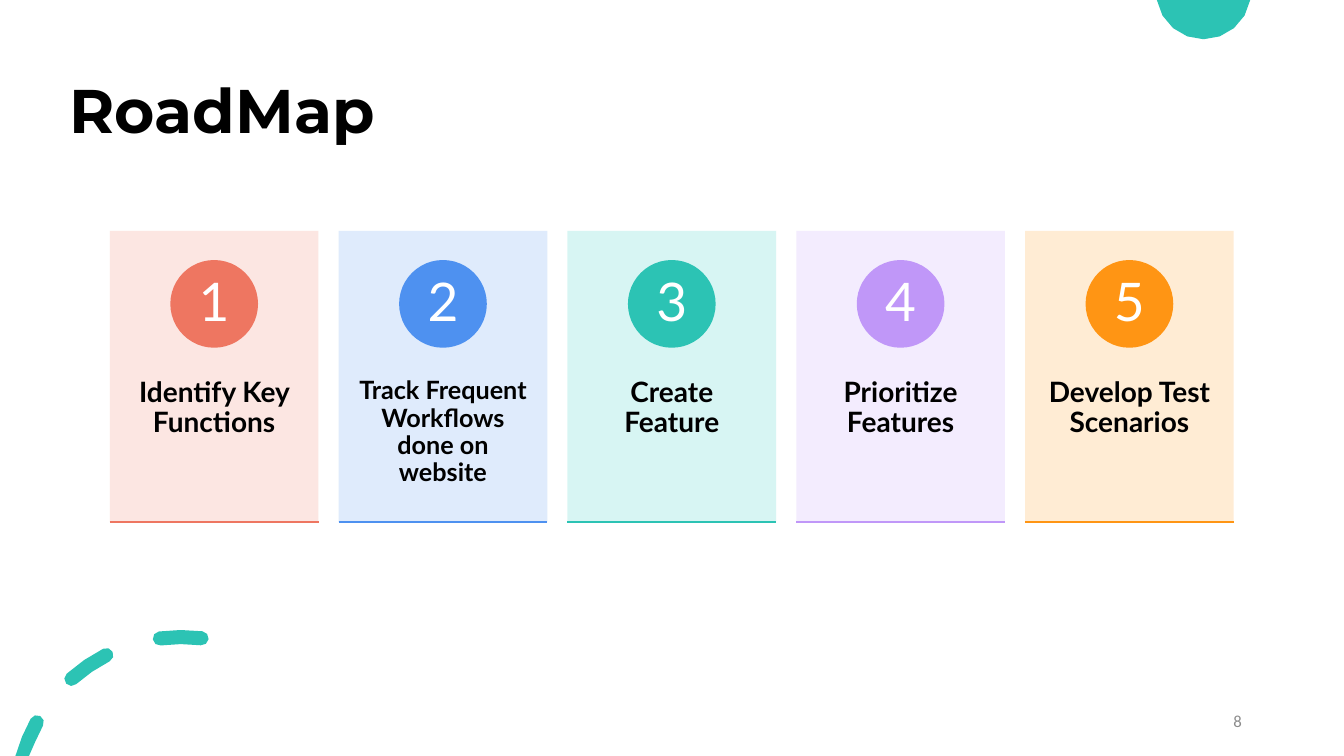
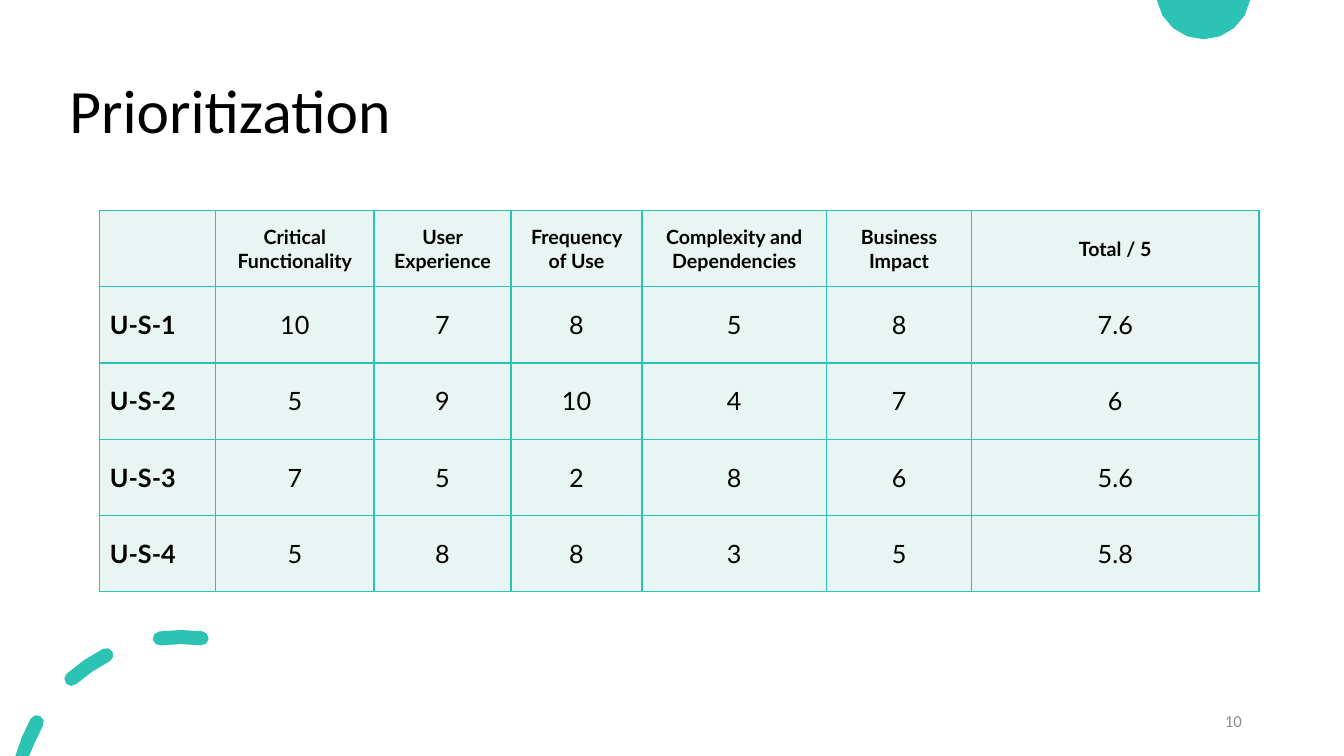
"""Build the roadmap and prioritization slides."""
from dataclasses import dataclass
from math import cos, radians, sin

from lxml import etree
from pptx import Presentation, util as u
from pptx.dml.color import RGBColor
from pptx.enum import shapes, text
from pptx.oxml.ns import qn
from pptx.slide import Slide
from pptx.text.text import TextFrame

TEAL, BLACK, WHITE, GREY, MINT = "2CC3B4", "000000", "FFFFFF", "8C8C8C", "E8F5F2"
LEFT, MID, RIGHT = text.PP_ALIGN.LEFT, text.PP_ALIGN.CENTER, text.PP_ALIGN.RIGHT
Point = tuple[float, float]


@dataclass
class Step:
    """One numbered card of the roadmap."""
    label: str
    tint: str
    tone: str
    size: int = 20


STEPS = [
    Step("Identify Key Functions", "FCE4DF", "EE7661"),
    Step("Track Frequent Workflows done on website", "DCE9FC", "4E91F0", 18),
    Step("Create Feature", "D3F5F2", TEAL),
    Step("Prioritize Features", "F2EAFE", "C097F8"),
    Step("Develop Test Scenarios", "FFEAD0", "FF9514"),
]
HEADS = ["", "Critical Functionality", "User Experience", "Frequency of Use",
         "Complexity and Dependencies", "Business Impact", "Total / 5"]
SCORES = [
    ["U-S-1", "10", "7", "8", "5", "8", "7.6"],
    ["U-S-2", "5", "9", "10", "4", "7", "6"],
    ["U-S-3", "7", "5", "2", "8", "6", "5.6"],
    ["U-S-4", "5", "8", "8", "3", "5", "5.8"],
]
WIDTHS = [1.15, 1.57, 1.36, 1.3, 1.83, 1.44, 2.85]


def color(code: str) -> RGBColor:
    """Turn a hex string into a colour."""
    return RGBColor.from_string(code)


def write(frame: TextFrame, words: str, *, size: float, font: str = "Lato",
          tone: str = BLACK, bold: bool = False, align=LEFT, gap: float = 1,
          anchor=text.MSO_ANCHOR.MIDDLE, inset: tuple | None = None) -> None:
    """Put formatted text in a frame."""
    frame.word_wrap = True
    frame.vertical_anchor = anchor
    if inset:
        (frame.margin_left, frame.margin_top,
         frame.margin_right, frame.margin_bottom) = map(u.Inches, inset)
    para = frame.paragraphs[0]
    para.alignment, para.line_spacing = align, gap
    run = para.add_run()
    run.text = words
    run.font.size, run.font.name, run.font.bold = u.Pt(size), font, bold
    run.font.color.rgb = color(tone)


def paint(shape, tone: str, alpha: int = 100) -> None:
    """Give a shape a plain fill without line or shadow."""
    shape.shadow.inherit = False
    shape.line.fill.background()
    shape.fill.solid()
    shape.fill.fore_color.rgb = color(tone)
    if alpha < 100:
        fill = shape.element.spPr.find(f"{qn('a:solidFill')}/{qn('a:srgbClr')}")
        etree.SubElement(fill, qn("a:alpha"), val=str(alpha * 1000))


def box(slide: Slide, kind, at: tuple, tone: str, alpha: int = 100):
    """Add a filled preset shape."""
    shape = slide.shapes.add_shape(kind, *map(u.Inches, at))
    paint(shape, tone, alpha)
    return shape


def arc(hub: Point, size: float, start: float, end: float, steps: int) -> list[Point]:
    """List points on an arc, with angles clockwise from the right."""
    turns = [radians(start + (end - start) * i / steps) for i in range(steps + 1)]
    return [(hub[0] + size * cos(t), hub[1] + size * sin(t)) for t in turns]


def blob(slide: Slide, *rings: list[Point]) -> None:
    """Fill outlines as one teal shape, cut at the foot of the slide."""
    pen = None
    for ring in rings:
        first, *rest = [(u.Inches(x), u.Inches(min(y, 7.5))) for x, y in ring]
        if pen:
            pen.move_to(*first)
        else:
            pen = slide.shapes.build_freeform(*first)
        pen.add_line_segments(rest)
    paint(pen.convert_to_shape(), TEAL)


def dash(start: float, end: float) -> list[Point]:
    """Outline one round-ended dash of the corner ring."""
    hub, size, half = (1.8, 7.96), 1.64, 0.07
    first, last = (arc(hub, size, a, a, 1)[0] for a in (start, end))
    return (arc(hub, size + half, start, end, 2)
            + arc(last, half, end, end + 180, 4)[1:-1]
            + arc(hub, size - half, end, start, 2)
            + arc(first, half, start + 180, start + 360, 4)[1:-1])


def label(slide: Slide, at: tuple, words: str, **style) -> None:
    """Add a text box."""
    write(slide.shapes.add_textbox(*map(u.Inches, at)).text_frame, words, **style)


def start(deck, title: str, page: int, **style) -> Slide:
    """Add a slide with the shared decoration, title and number."""
    slide = deck.slides.add_slide(deck.slide_layouts[6])
    blob(slide, arc((11.94, -0.08), 0.47, 10, 170, 8))
    blob(slide, dash(195.6, 209), dash(228.3, 243), dash(262.5, 277))
    label(slide, (0.59, 0.4, 11.5, 1.45), title, size=44, gap=0.9, **style)
    label(slide, (9.42, 6.95, 3, 0.4), str(page), size=12, font="Calibri",
          tone=GREY, align=RIGHT)
    return slide


def card(slide: Slide, rank: int, step: Step) -> None:
    """Draw one roadmap card."""
    left, top, wide, high, disc = 1.09 + 2.27 * (rank - 1), 2.29, 2.07, 2.89, 0.87
    pane = box(slide, shapes.MSO_SHAPE.RECTANGLE, (left, top, wide, high), step.tint, 90)
    write(pane.text_frame, step.label, size=step.size, bold=True, align=MID,
          gap=0.9, anchor=text.MSO_ANCHOR.TOP, inset=(0.16, 1.46, 0.16, 0.42))
    badge = box(slide, shapes.MSO_SHAPE.OVAL,
                (left + (wide - disc) / 2, top + 0.29, disc, disc), step.tone)
    write(badge.text_frame, str(rank), size=38, tone=WHITE, align=MID, gap=0.9,
          inset=(0, 0, 0, 0))
    base = top + high
    rule = slide.shapes.add_connector(
        shapes.MSO_CONNECTOR.STRAIGHT, *map(u.Inches, (left, base, left + wide, base)))
    rule.line.color.rgb, rule.line.width = color(step.tone), u.Pt(1)
    etree.SubElement(rule.element.spPr, qn("a:effectLst"))


def edge(cell) -> None:
    """Draw teal borders around a cell and fill it."""
    props = cell._tc.get_or_add_tcPr()
    for side in "LRTB":
        line = etree.SubElement(props, qn(f"a:ln{side}"), w=str(u.Pt(1)))
        fill = etree.SubElement(line, qn("a:solidFill"))
        etree.SubElement(fill, qn("a:srgbClr"), val=TEAL)
    cell.fill.solid()
    cell.fill.fore_color.rgb = color(MINT)


def grid(slide: Slide) -> None:
    """Draw the table of scores."""
    rows = [HEADS, *SCORES]
    high = 3.78
    at = (0.99, 2.09, sum(WIDTHS), high)
    table = slide.shapes.add_table(len(rows), len(HEADS), *map(u.Inches, at)).table
    table.first_row = table.horz_banding = False
    for col, wide in zip(table.columns, WIDTHS):
        col.width = u.Inches(wide)
    for r, row in enumerate(rows):
        table.rows[r].height = u.Inches(high / len(rows))
        for c, words in enumerate(row):
            cell = table.cell(r, c)
            edge(cell)
            cell.vertical_anchor = text.MSO_ANCHOR.MIDDLE
            if words:
                write(cell.text_frame, words, size=18 if r else 14,
                      bold=r == 0 or c == 0, align=MID if c else LEFT,
                      anchor=None)


def main() -> None:
    """Build and save the deck."""
    deck = Presentation()
    deck.slide_width, deck.slide_height = u.Inches(40 / 3), u.Inches(7.5)
    road = start(deck, "RoadMap", 8, font="Montserrat", bold=True)
    for rank, step in enumerate(STEPS, 1):
        card(road, rank, step)
    grid(start(deck, "Prioritization", 10, font="Calibri"))
    deck.save("out.pptx")


if __name__ == "__main__":
    main()
